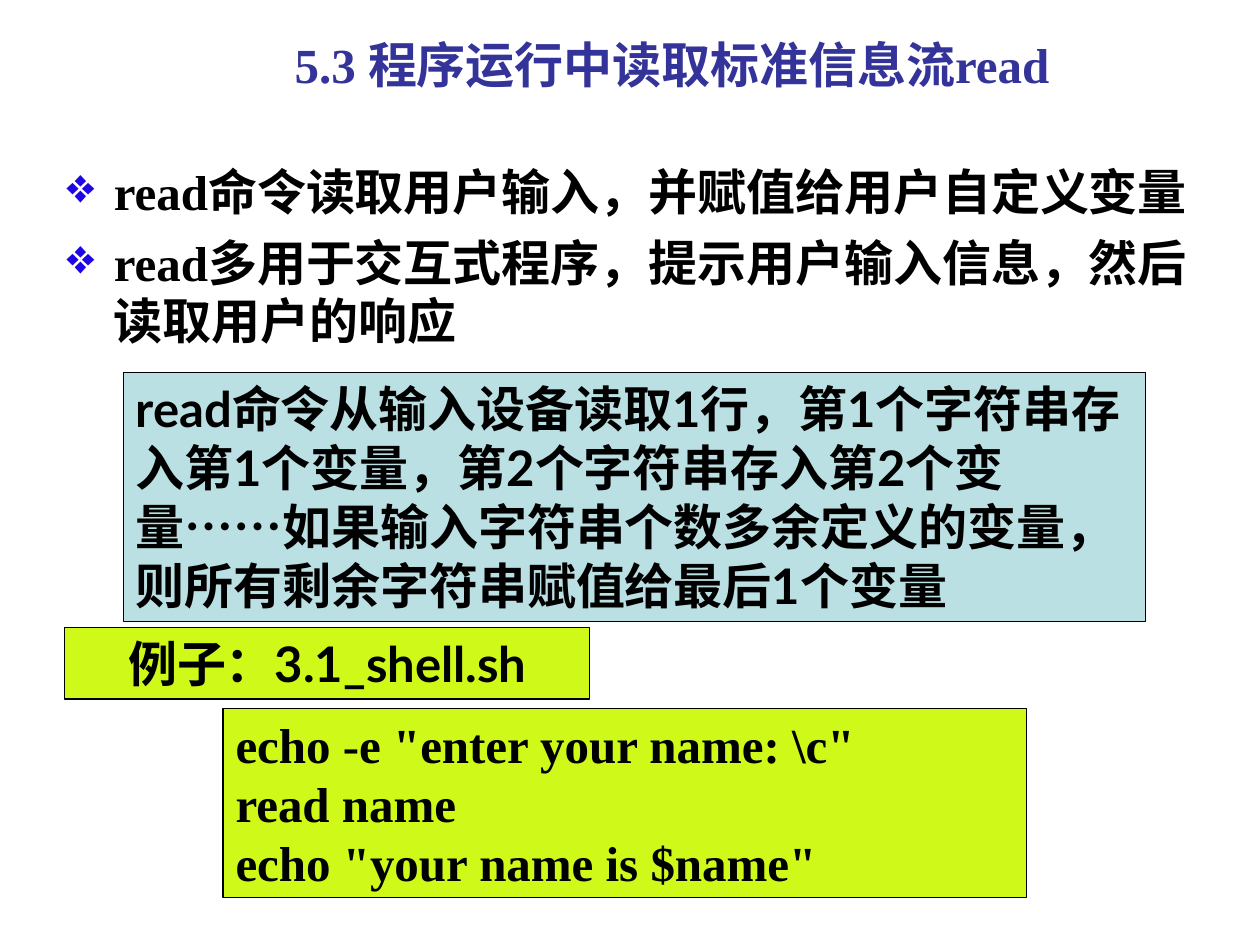
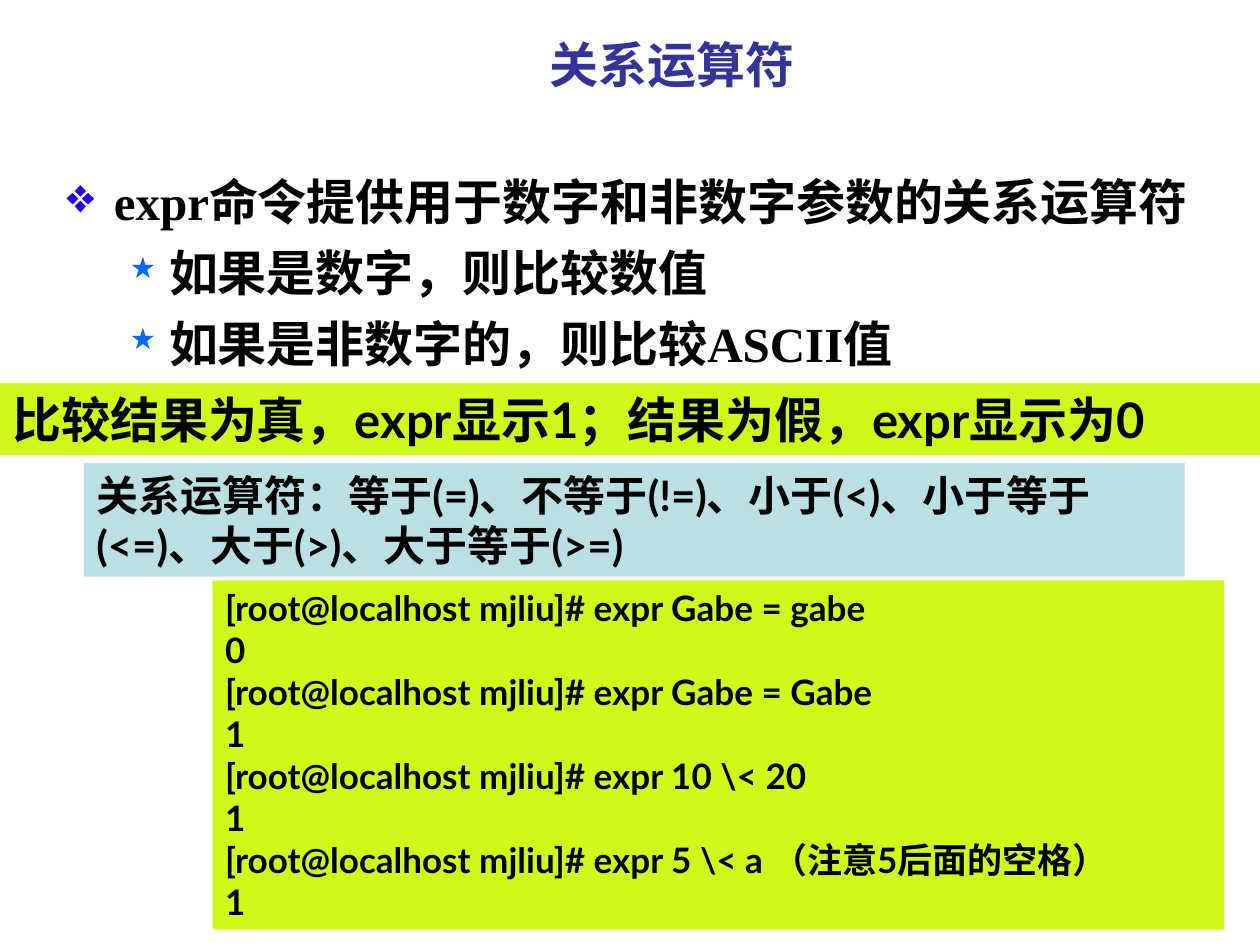
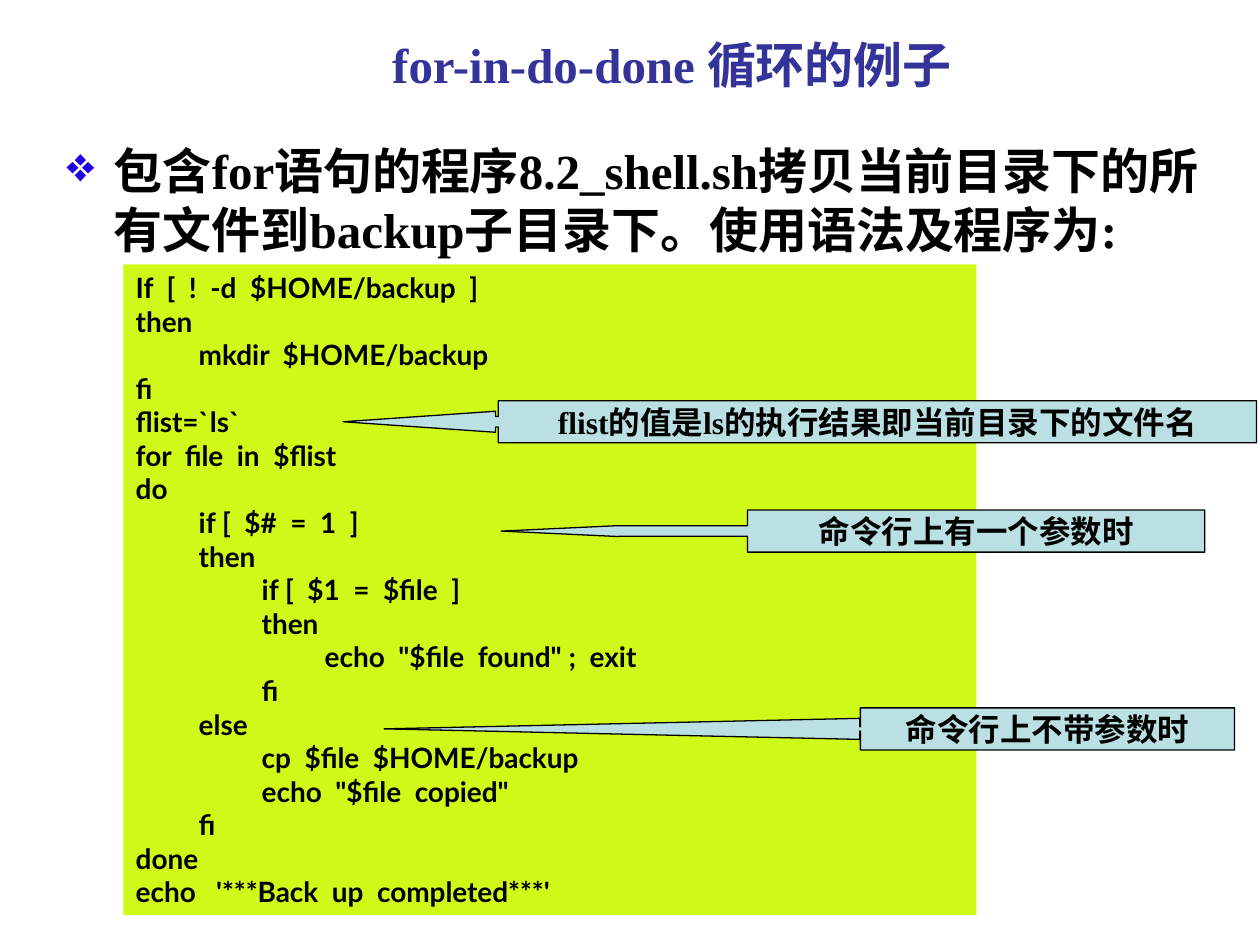
from pptx import Presentation
from pptx.dml.color import RGBColor
from pptx.enum.shapes import MSO_SHAPE
from pptx.enum.text import MSO_ANCHOR, MSO_AUTO_SIZE, PP_ALIGN
from pptx.oxml.ns import qn
from pptx.util import Pt
from lxml import etree

RECT = MSO_SHAPE.RECTANGLE
CALLOUT = MSO_SHAPE.LEFT_ARROW_CALLOUT
LEFT, CENTER = PP_ALIGN.LEFT, PP_ALIGN.CENTER
TOP, MIDDLE = MSO_ANCHOR.TOP, MSO_ANCHOR.MIDDLE
NO_FIT, GROW = MSO_AUTO_SIZE.NONE, MSO_AUTO_SIZE.SHAPE_TO_FIT_TEXT

COLORS = {
    "title": "333399",
    "text": "000000",
    "bullet": "1F05E3",
    "sub_bullet": "0066FF",
    "lime": "CEF919",
    "aqua": "BBE0E3",
}
SERIF, SANS = "Times New Roman", "Lato"

# Per outline level: bullet sign, its colour, text indent, hanging indent
LEVELS = [("❖", "bullet", 27, 27), ("٭", "sub_bullet", 58.5, 22.5)]

READ_RULE = [
    ("read命令从输入设备读取1行，第1个字符串存入第1个变量，第2个字符串存入第2个变量", SANS),
    ("……", SERIF),
    ("如果输入字符串个数多余定义的变量，则所有剩余字符串赋值给最后1个变量", SANS),
]

READ_CODE = r'''echo -e "enter your name: \c"
read name
echo "your name is $name"'''

EXPR_CODE = r"""[root@localhost mjliu]# expr Gabe = gabe
0
[root@localhost mjliu]# expr Gabe = Gabe
1
[root@localhost mjliu]# expr 10 \< 20
1
[root@localhost mjliu]# expr 5 \< a （注意5后面的空格）
1"""

# (tab depth, line)
BACKUP_CODE = [
    (0, "If  [  !  -d  $HOME/backup  ]"),
    (0, "then"),
    (1, "mkdir  $HOME/backup"),
    (0, "fi"),
    (0, "flist=`ls`"),
    (0, "for  file  in  $flist"),
    (0, "do"),
    (1, "if [  $#  =  1  ]"),
    (1, "then"),
    (2, "if [  $1  =  $file  ]"),
    (2, "then"),
    (3, 'echo  "$file  found" ;  exit'),
    (2, "fi"),
    (1, "else"),
    (2, "cp  $file  $HOME/backup"),
    (2, 'echo  "$file  copied"'),
    (1, "fi"),
    (0, "done"),
    (0, "echo   '***Back  up  completed***'"),
]

# (left, top, width, adjustments, text)
CALLOUTS = [
    (196, 229, 522, (0.25, 0.25, 3.63, 0.83), "flist的值是ls的执行结果即当前目录下的文件名"),
    (286.5, 291.5, 402, (0.25, 0.13, 2.79, 0.65), "命令行上有一个参数时"),
    (219.5, 404.5, 486, (0.1, 0.25, 11.32, 0.44), "命令行上不带参数时"),
]


def rgb(name):
    return RGBColor.from_string(COLORS[name])


def points(*lengths):
    return [Pt(v) for v in lengths]


def add_run(p, text, font=SERIF, size=28, color="text"):
    r = p.add_run()
    r.text = text
    for key, value in {"name": font, "size": Pt(size), "bold": True}.items():
        setattr(r.font, key, value)
    r.font.color.rgb = rgb(color)


def set_frame(tf, anchor=TOP, wrap=True, fit=NO_FIT):
    frame = {"auto_size": fit, "word_wrap": wrap, "vertical_anchor": anchor}
    for key, value in frame.items():
        setattr(tf, key, value)


def paragraphs(tf, items):
    """Pair each item with a paragraph, starting with the one already there."""
    for i, item in enumerate(items):
        yield (tf.add_paragraph() if i else tf.paragraphs[0]), item


def set_bullet(p, level):
    sign, color, indent, hanging = LEVELS[level]
    p.level = level
    pPr = p._p.get_or_add_pPr()
    pPr.set("marL", str(Pt(indent)))
    pPr.set("indent", str(-Pt(hanging)))
    clr = etree.SubElement(pPr, qn("a:buClr"))
    etree.SubElement(clr, qn("a:srgbClr"), val=COLORS[color])
    etree.SubElement(pPr, qn("a:buChar"), char=sign)


def add_title(s, text):
    tf = s.shapes.add_textbox(*points(48, 15, 672, 43)).text_frame
    set_frame(tf, MIDDLE)
    p = tf.paragraphs[0]
    p.alignment = CENTER
    add_run(p, text, color="title")


def add_bullets(s, top, items):
    """Items are (level, text)."""
    tf = s.shapes.add_textbox(*points(31, top, 669, 385)).text_frame
    set_frame(tf)
    for p, (level, text) in paragraphs(tf, items):
        p.space_before = Pt(7)
        set_bullet(p, level)
        add_run(p, text)


def add_filled(s, kind, box, fill, outlined):
    sp = s.shapes.add_shape(kind, *points(*box))
    sp.shadow.inherit = False
    sp.fill.solid()
    sp.fill.fore_color.rgb = rgb(fill)
    if outlined:
        sp.line.color.rgb = rgb("text")
        sp.line.width = Pt(0.75)
    else:
        sp.line.fill.background()
    return sp


def add_panel(s, box, fill, lines, font=SANS, size=28, outlined=False,
              align=LEFT, before=0, wrap=True):
    """Each line is a text, or a list of (text, font) runs."""
    tf = add_filled(s, RECT, box, fill, outlined).text_frame
    set_frame(tf, wrap=wrap, fit=GROW)
    for p, line in paragraphs(tf, lines):
        p.alignment = align
        p.space_before = Pt(before)
        for text, face in [(line, font)] if isinstance(line, str) else line:
            add_run(p, text, face, size)


def add_callout(s, left, top, width, adjustments, text):
    sp = add_filled(s, CALLOUT, (left, top, width, 24), "aqua", True)
    for i, value in enumerate(adjustments):
        sp.adjustments[i] = value
    set_frame(sp.text_frame, MIDDLE, wrap=False)
    p = sp.text_frame.paragraphs[0]
    p.alignment = CENTER
    add_run(p, text, size=18)


def add_slide(prs, title, top, bullets):
    s = prs.slides.add_slide(prs.slide_layouts[6])
    add_title(s, title)
    add_bullets(s, top, bullets)
    return s


def build_read(prs):
    s = add_slide(prs, "5.3 程序运行中读取标准信息流read", 88.5, [
        (0, "read命令读取用户输入，并赋值给用户自定义变量"),
        (0, "read多用于交互式程序，提示用户输入信息，然后读取用户的响应"),
    ])
    add_panel(s, (70.5, 213, 584, 142), "aqua", [READ_RULE], outlined=True, before=17.5)
    add_panel(s, (37, 358.5, 300, 41), "lime", ["例子：3.1_shell.sh"],
              outlined=True, align=CENTER, before=17.5)
    add_panel(s, (127.5, 405, 459, 108), "lime", READ_CODE.splitlines(),
              font=SERIF, outlined=True)


def build_expr(prs):
    s = add_slide(prs, "关系运算符", 94.5, [
        (0, "expr命令提供用于数字和非数字参数的关系运算符"),
        (1, "如果是数字，则比较数值"),
        (1, "如果是非数字的，则比较ASCII值"),
    ])
    add_panel(s, (0, 219, 723, 41), "lime",
              ["比较结果为真，expr显示1；结果为假，expr显示为0"], wrap=False)
    add_panel(s, (48, 264.5, 629, 65), "aqua",
              ["关系运算符：等于(=)、不等于(!=)、小于(<)、小于等于(<=)、大于(>)、大于等于(>=)"],
              size=24)
    add_panel(s, (121.5, 331.75, 578, 199.5), "lime", EXPR_CODE.splitlines(), size=20)


def build_for_loop(prs):
    s = add_slide(prs, "for-in-do-done 循环的例子", 77, [
        (0, "包含for语句的程序8.2_shell.sh拷贝当前目录下的所有文件到backup子目录下。使用语法及程序为:"),
    ])
    add_panel(s, (70.5, 151, 487.5, 372), "lime",
              ["\t" * depth + line for depth, line in BACKUP_CODE], size=16)
    for callout in CALLOUTS:
        add_callout(s, *callout)


def main():
    prs = Presentation()
    prs.slide_width, prs.slide_height = points(720, 540)
    build_read(prs)
    build_expr(prs)
    build_for_loop(prs)
    prs.save("out.pptx")


if __name__ == "__main__":
    main()
